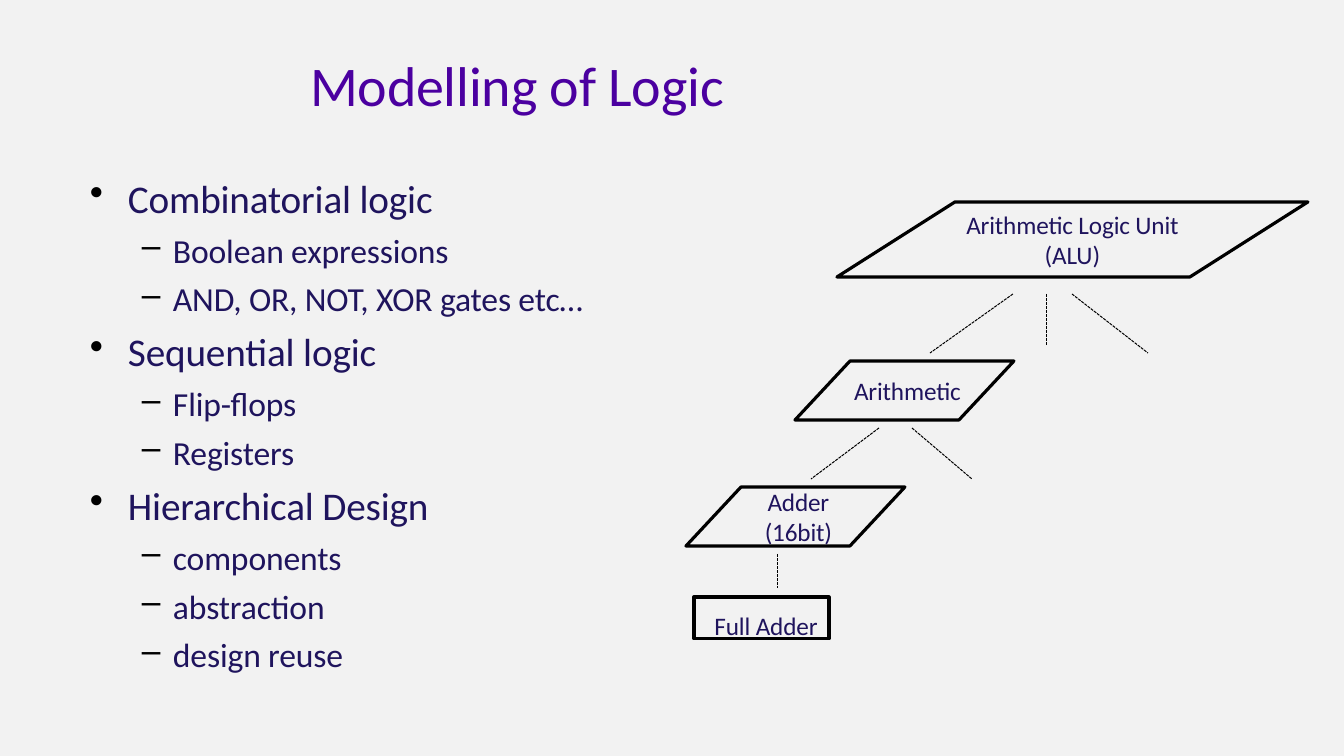
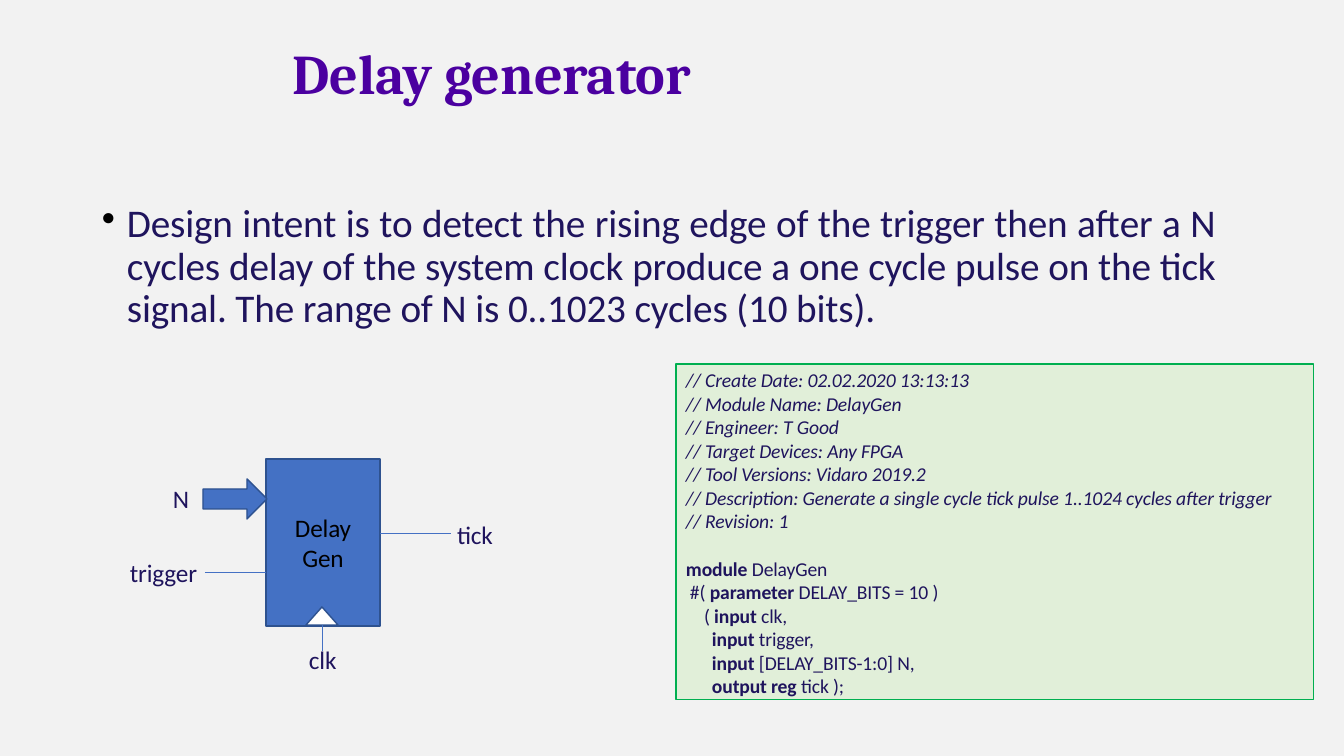
from dataclasses import dataclass

from lxml import etree
from pptx import Presentation
from pptx.dml.color import RGBColor
from pptx.enum.dml import MSO_LINE
from pptx.enum.shapes import MSO_CONNECTOR, MSO_SHAPE
from pptx.enum.text import MSO_ANCHOR, MSO_AUTO_SIZE, PP_ALIGN
from pptx.oxml.ns import qn
from pptx.util import Emu, Pt

LEFT, CENTER, JUSTIFY = PP_ALIGN.LEFT, PP_ALIGN.CENTER, PP_ALIGN.JUSTIFY
TOP, MIDDLE = MSO_ANCHOR.TOP, MSO_ANCHOR.MIDDLE
FIXED = MSO_AUTO_SIZE.NONE
STRAIGHT = MSO_CONNECTOR.STRAIGHT
SYSTEM_DASH = MSO_LINE.SQUARE_DOT
RECTANGLE, PARALLELOGRAM = MSO_SHAPE.RECTANGLE, MSO_SHAPE.PARALLELOGRAM
TRIANGLE, RIGHT_ARROW = MSO_SHAPE.ISOSCELES_TRIANGLE, MSO_SHAPE.RIGHT_ARROW
PIXELS_PER_INCH = 100.8


@dataclass(frozen=True)
class Theme:
    """Colours, fonts and type sizes shared by the slides."""

    background: str = "F2F2F2"
    title: str = "4B00A0"
    text: str = "1F145D"
    black: str = "000000"
    white: str = "FFFFFF"
    block: str = "4471C4"
    block_line: str = "2E528F"
    code_fill: str = "E1EFD9"
    code_line: str = "00AF50"
    font: str = "Calibri"
    serif: str = "Cambria"
    title_size: int = 40
    bullet_sizes: tuple = (28, 24)
    label_size: int = 18
    code_size: int = 14
    outline: float = 2.28
    dash: float = 0.72


def px(value):
    """Turn slide pixels into EMU."""
    return Emu(round(value * 914400 / PIXELS_PER_INCH))


def box(*values):
    """Turn a left, top, width, height box into EMU."""
    return [px(value) for value in values]


class Deck:
    """Holds the style and the current slide and draws its elements."""

    def __init__(self, theme):
        """Start an empty presentation with the shared background."""
        self.theme = theme
        self.presentation = Presentation()
        self.presentation.slide_width = px(1344)
        self.presentation.slide_height = px(756)
        fill = self.presentation.slide_master.background.fill
        fill.solid()
        fill.fore_color.rgb = RGBColor.from_string(theme.background)
        self.slide = None

    def format_run(self, run, size, color, font=None, bold=False, italic=False):
        """Give one run its type style."""
        run.font.name = font or self.theme.font
        run.font.size = Pt(size)
        run.font.bold = bold
        run.font.italic = italic
        run.font.color.rgb = RGBColor.from_string(color)
        run._r.get_or_add_rPr().set("spc", "-10")

    def frame(self, shape, anchor, wrap=True, left=0, top=0):
        """Prepare the text frame of a shape."""
        frame = shape.text_frame
        frame.auto_size = FIXED
        frame.word_wrap = wrap
        frame.vertical_anchor = anchor
        frame.margin_left, frame.margin_top = px(left), px(top)
        frame.margin_right = frame.margin_bottom = 0
        return frame

    def set_text(self, frame, text, size, color, alignment, **style):
        """Set plain text, one paragraph a line."""
        frame.text = text
        for paragraph in frame.paragraphs:
            paragraph.alignment = alignment
            for run in paragraph.runs:
                self.format_run(run, size, color, **style)

    def new_slide(self, title, left, top, width, **style):
        """Add a title-only slide and place its title."""
        layout = self.presentation.slide_layouts[5]
        self.slide = self.presentation.slides.add_slide(layout)
        shape = self.slide.shapes.title
        shape.left, shape.top, shape.width, shape.height = box(left, top, width, 77)
        frame = self.frame(shape, MIDDLE, top=1)
        self.set_text(frame, title, self.theme.title_size, self.theme.title, LEFT, **style)

    def bullets(self, items, left, top, width, height, inset, indents,
                alignment=LEFT, spacing=1.0):
        """Add a bulleted list of (level, text) items."""
        shape = self.slide.shapes.add_textbox(*box(left, top, width, height))
        frame = self.frame(shape, TOP, top=inset)
        frame.text = "\n".join(text for _, text in items)
        for paragraph, (level, _) in zip(frame.paragraphs, items):
            margin, hanging = indents[level]
            paragraph.level = level
            paragraph.alignment = alignment
            paragraph.line_spacing = spacing
            paragraph.space_before = Pt((6.5, 6)[level])
            properties = paragraph._p.get_or_add_pPr()
            properties.set("marL", str(px(margin)))
            properties.set("indent", str(-px(hanging)))
            color = etree.SubElement(properties, qn("a:buClr"))
            etree.SubElement(color, qn("a:srgbClr")).set("val", self.theme.black)
            etree.SubElement(properties, qn("a:buChar")).set("char", "•–"[level])
            for run in paragraph.runs:
                self.format_run(run, self.theme.bullet_sizes[level], self.theme.text)

    def shape(self, kind, left, top, width, height, line, weight, fill=None):
        """Add a preset shape with an outline and an optional fill."""
        shape = self.slide.shapes.add_shape(kind, *box(left, top, width, height))
        shape.shadow.inherit = False
        if fill:
            shape.fill.solid()
            shape.fill.fore_color.rgb = RGBColor.from_string(fill)
        else:
            shape.fill.background()
        shape.line.color.rgb = RGBColor.from_string(line)
        shape.line.width = Pt(weight)
        return shape

    def node(self, kind, text, left, top, width, height, slant=0, inset=(0, 0)):
        """Add an outlined node of the hierarchy."""
        theme = self.theme
        shape = self.shape(kind, left, top, width, height, theme.black, theme.outline)
        if slant:
            shape.adjustments[0] = slant / height
        frame = self.frame(shape, MIDDLE, False, *inset)
        self.set_text(frame, text, theme.label_size, theme.text, CENTER)

    def block(self, kind, left, top, width, height, fill, text=""):
        """Add a filled part of the block diagram."""
        theme = self.theme
        shape = self.shape(kind, left, top, width, height, theme.block_line, 1, fill)
        if text:
            frame = self.frame(shape, MIDDLE)
            self.set_text(frame, text, theme.label_size, theme.black, CENTER)

    def label(self, text, left, top, width):
        """Add a signal name."""
        shape = self.slide.shapes.add_textbox(*box(left, top, width, 33))
        frame = self.frame(shape, MIDDLE, False)
        self.set_text(frame, text, self.theme.label_size, self.theme.text, LEFT)

    def line(self, start, end, color, weight, dash=None):
        """Add a straight line between two points."""
        connector = self.slide.shapes.add_connector(STRAIGHT, *box(*start, *end))
        connector.line.color.rgb = RGBColor.from_string(color)
        connector.line.width = Pt(weight)
        if dash:
            connector.line.dash_style = dash
        etree.SubElement(connector._element.spPr, qn("a:effectLst"))

    def code(self, comments, statements, left, top, width, height):
        """Add a code panel of comments and (indent, prefix, keyword, rest) lines."""
        theme = self.theme
        shape = self.shape(RECTANGLE, left, top, width, height,
                           theme.code_line, 0.75, theme.code_fill)
        frame = self.frame(shape, TOP, left=10, top=4)
        self.set_text(frame, "\n".join(comments), theme.code_size, theme.text, LEFT,
                      italic=True)
        for number, (indent, prefix, keyword, rest) in enumerate(statements):
            paragraph = frame.add_paragraph()
            paragraph.alignment = LEFT
            paragraph.space_before = Pt(0 if number else 17)
            paragraph._p.get_or_add_pPr().set("marL", str(px(indent)))
            for text, bold in ((prefix, False), (keyword, True), (rest, False)):
                if text:
                    run = paragraph.add_run()
                    run.text = text
                    self.format_run(run, theme.code_size, theme.text, bold=bold)


def logic_slide(deck):
    """Build the slide on modelling logic."""
    theme = deck.theme
    deck.new_slide("Modelling of Logic", 310, 45, 456)
    deck.bullets([
        (0, "Combinatorial logic"),
        (1, "Boolean expressions"),
        (1, "AND, OR, NOT, XOR gates etc…"),
        (0, "Sequential logic"),
        (1, "Flip-flops"),
        (1, "Registers"),
        (0, "Hierarchical Design"),
        (1, "components"),
        (1, "abstraction"),
        (1, "design reuse"),
    ], 89, 163, 499, 512, 11, ((39, 38), (84, 31)))
    deck.node(PARALLELOGRAM, "Arithmetic Logic Unit\n(ALU)", 837, 202, 471, 75, 118)
    deck.node(PARALLELOGRAM, "Arithmetic", 795, 361, 219, 59, 55, (6, 0))
    deck.node(PARALLELOGRAM, "Adder\n(16bit)", 686, 487, 219, 59, 55, (6, 0))
    deck.node(RECTANGLE, "Full Adder", 694, 597, 135, 42, inset=(9, 14))
    for start, end in (
        ((1013, 294), (930, 353)),
        ((1047, 294), (1047, 345)),
        ((1072, 294), (1148, 353)),
        ((879, 428), (811, 479)),
        ((912, 428), (972, 479)),
        ((778, 554), (778, 588)),
    ):
        deck.line(start, end, theme.black, theme.dash, SYSTEM_DASH)


def delay_slide(deck):
    """Build the slide on the delay generator."""
    theme = deck.theme
    deck.new_slide("Delay generator", 293, 33, 531, font=theme.serif, bold=True)
    deck.bullets([
        (0, "Design intent is to detect the rising edge of the trigger then after a N "
            "cycles delay of the system clock produce a one cycle pulse on the tick "
            "signal. The range of N is 0..1023 cycles (10 bits)."),
    ], 101, 198, 1115, 134, 6, ((26, 25),), JUSTIFY, 0.9)
    deck.block(RECTANGLE, 266, 459, 114, 167, theme.block, "Delay\nGen")
    deck.block(TRIANGLE, 306, 607, 32, 18, theme.white)
    deck.block(RIGHT_ARROW, 203, 479, 64, 40, theme.block)
    for start, end in (
        ((322, 625), (322, 651)),
        ((205, 572), (266, 572)),
        ((380, 533), (451, 533)),
    ):
        deck.line(start, end, theme.block, 0.5)
    for text, left, top, width in (
        ("N", 173, 482, 19),
        ("trigger", 130, 556, 70),
        ("tick", 457, 518, 39),
        ("clk", 309, 643, 30),
    ):
        deck.label(text, left, top, width)
    deck.code([
        "// Create Date: 02.02.2020 13:13:13",
        "// Module Name: DelayGen",
        "// Engineer: T Good",
        "// Target Devices: Any FPGA",
        "// Tool Versions: Vidaro 2019.2",
        "// Description: Generate a single cycle tick pulse 1..1024 cycles after trigger",
        "// Revision: 1",
    ], [
        (0, "", "module ", "DelayGen"),
        (4, "#( ", "parameter ", "DELAY_BITS = 10 )"),
        (18, "( ", "input ", "clk,"),
        (26, "", "input ", "trigger,"),
        (26, "", "input ", "[DELAY_BITS-1:0] N,"),
        (26, "", "output reg ", "tick );"),
    ], 676, 364, 638, 336)


def main():
    """Build both slides and save them."""
    deck = Deck(Theme())
    logic_slide(deck)
    delay_slide(deck)
    deck.presentation.save("out.pptx")


if __name__ == "__main__":
    main()
